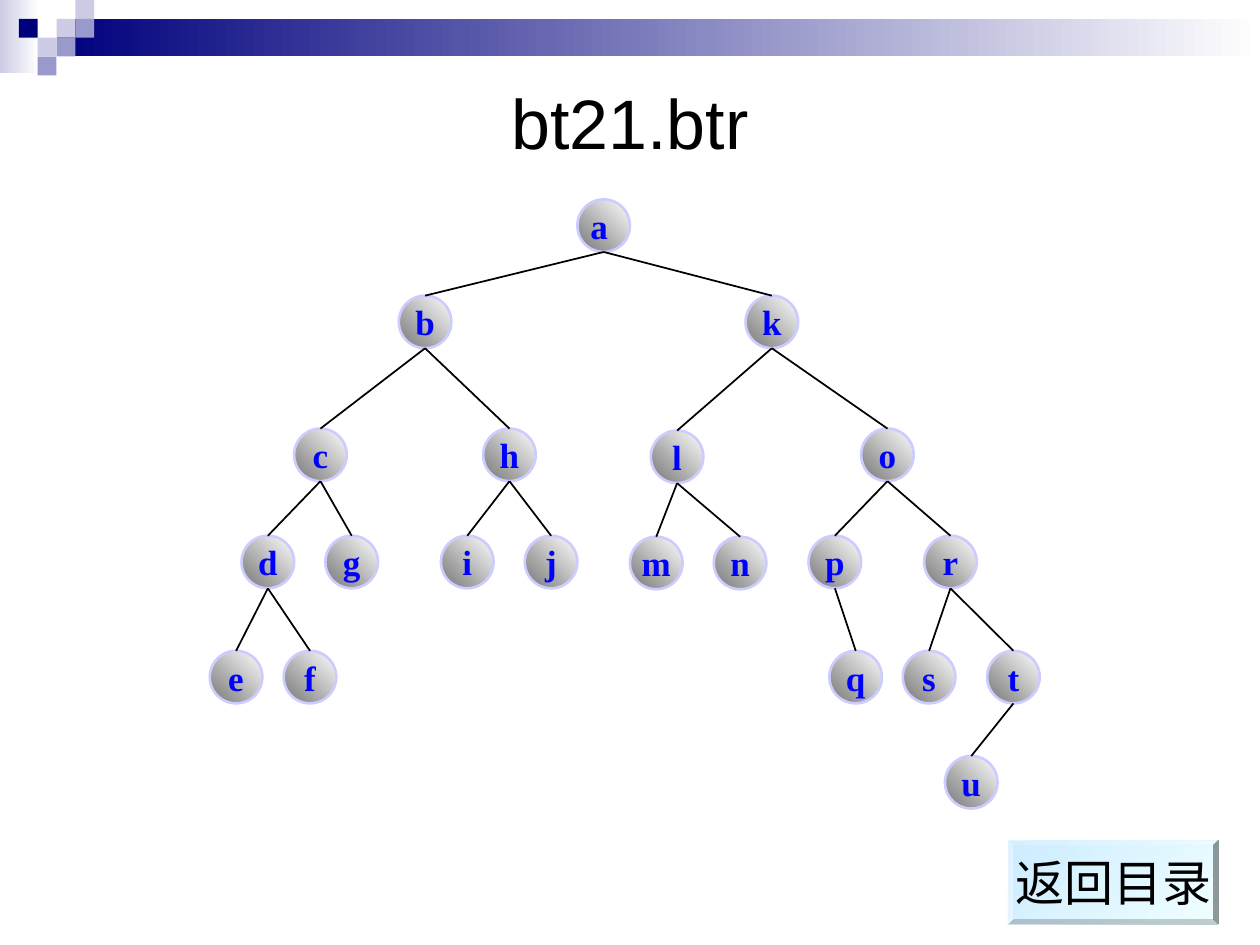
from dataclasses import dataclass

from lxml.etree import SubElement
from pptx import Presentation
from pptx.dml.color import RGBColor
from pptx.enum.shapes import MSO_CONNECTOR as Link, MSO_SHAPE as Preset
from pptx.enum.text import MSO_ANCHOR as Anchor, PP_ALIGN as Align
from pptx.oxml.ns import qn
from pptx.shapes.autoshape import Shape
from pptx.slide import Slide
from pptx.util import Cm, Pt

NODE_SIZE = 1.06
SQUARE = 0.38


@dataclass
class Node:
    label: str
    left: float
    top: float
    parent: str = ""


@dataclass
class Square:
    column: int
    row: int
    color: str


NODES = [
    Node("a ", 11.64, 4.02),
    Node("b", 8.04, 5.96, "a "), Node("k", 15.03, 5.96, "a "),
    Node("c", 5.93, 8.64, "b"), Node("h", 9.74, 8.64, "b"),
    Node("l", 13.12, 8.68, "k"), Node("o", 17.36, 8.64, "k"),
    Node("d", 4.87, 10.8, "c"), Node("g", 6.56, 10.8, "c"),
    Node("i", 8.89, 10.8, "h"), Node("j", 10.58, 10.8, "h"),
    Node("m", 12.7, 10.82, "l"), Node("n", 14.39, 10.82, "l"),
    Node("p", 16.3, 10.8, "o"), Node("r", 18.63, 10.8, "o"),
    Node("e", 4.23, 13.12, "d"), Node("f", 5.72, 13.12, "d"),
    Node("q", 16.72, 13.12, "p"),
    Node("s", 18.2, 13.12, "r"), Node("t", 19.9, 13.12, "r"),
    Node("u", 19.05, 15.24, "t"),
]
SQUARES = [
    Square(3, 1, "CCCCE6"), Square(4, 0, "CCCCE6"), Square(4, 1, "9999CC"),
    Square(2, 2, "CCCCE6"), Square(1, 1, "00007D"), Square(3, 2, "9999CC"),
    Square(2, 3, "9999CC"),
]


def color(value: str) -> RGBColor:
    return RGBColor.from_string(value)


def add_block(page: Slide, preset: Preset, left: float, top: float,
              width: float, height: float, fills: list[str], angle: float = 0) -> Shape:
    """Draw a borderless shape with a plain fill or a two-colour gradient."""
    block = page.shapes.add_shape(preset, Cm(left), Cm(top), Cm(width), Cm(height))
    block.shadow.inherit = False
    block.line.fill.background()
    if len(fills) == 1:
        block.fill.solid()
        block.fill.fore_color.rgb = color(fills[0])
    else:
        block.fill.gradient()
        block.fill.gradient_angle = angle
        for stop, value in zip(block.fill.gradient_stops, fills):
            stop.color.rgb = color(value)
    return block


def set_text(box: Shape, text: str, size: float, font: str = "Arial",
             value: str = "000000", bold: bool = False) -> None:
    frame = box.text_frame
    frame.text = text
    frame.word_wrap = False
    frame.vertical_anchor = Anchor.MIDDLE
    para = frame.paragraphs[0]
    para.alignment = Align.CENTER
    span = para.runs[0]
    span.font.size = Pt(size)
    span.font.name = font
    span.font.bold = bold
    span.font.color.rgb = color(value)


def add_node(page: Slide, node: Node) -> Shape:
    circle = add_block(page, Preset.OVAL, node.left, node.top, NODE_SIZE, NODE_SIZE,
                       ["767676", "FFFFFF"], 45)
    circle.line.color.rgb = color("CCCCFF")
    circle.line.width = Pt(1.5)
    set_text(circle, node.label, 20, "Times New Roman", "0000FF", True)
    return circle


def add_edge(page: Slide, parent: Shape, child: Shape) -> None:
    edge = page.shapes.add_connector(
        Link.STRAIGHT, parent.left + parent.width // 2, parent.top + parent.height,
        child.left + child.width // 2, child.top)
    edge.end_connect(child, 0)
    edge.line.color.rgb = color("000000")
    edge.line.width = Pt(1)
    SubElement(edge._element.spPr, qn("a:effectLst"))


def add_header(page: Slide) -> None:
    add_block(page, Preset.RECTANGLE, 0, 0, 0.79, 1.47, ["CCCCE6", "FFFFFF"])
    add_block(page, Preset.RECTANGLE, 3 * SQUARE, SQUARE, 24.26, 2 * SQUARE,
              ["00007D", "FFFFFF"])
    for square in SQUARES:
        add_block(page, Preset.RECTANGLE, square.column * SQUARE, square.row * SQUARE,
                  SQUARE, SQUARE, [square.color])


def main() -> None:
    deck = Presentation()
    deck.slide_width, deck.slide_height = Cm(25.4), Cm(19.05)
    page = deck.slides.add_slide(deck.slide_layouts[6])
    add_header(page)

    title = page.shapes.add_textbox(Cm(1.27), Cm(1.27), Cm(22.86), Cm(2.34))
    set_text(title, "bt21.btr", 40)
    title.text_frame.word_wrap = True

    button = add_block(page, Preset.BEVEL, 20.32, 16.94, 4.24, 1.69,
                       ["CCECFF", "F0FFFF"], 315)
    button.adjustments[0] = 0.06
    set_text(button, "返回目录", 28)

    circles = {node.label: add_node(page, node) for node in NODES}
    for node in NODES:
        if node.parent:
            add_edge(page, circles[node.parent], circles[node.label])
    deck.save("out.pptx")


if __name__ == "__main__":
    main()
